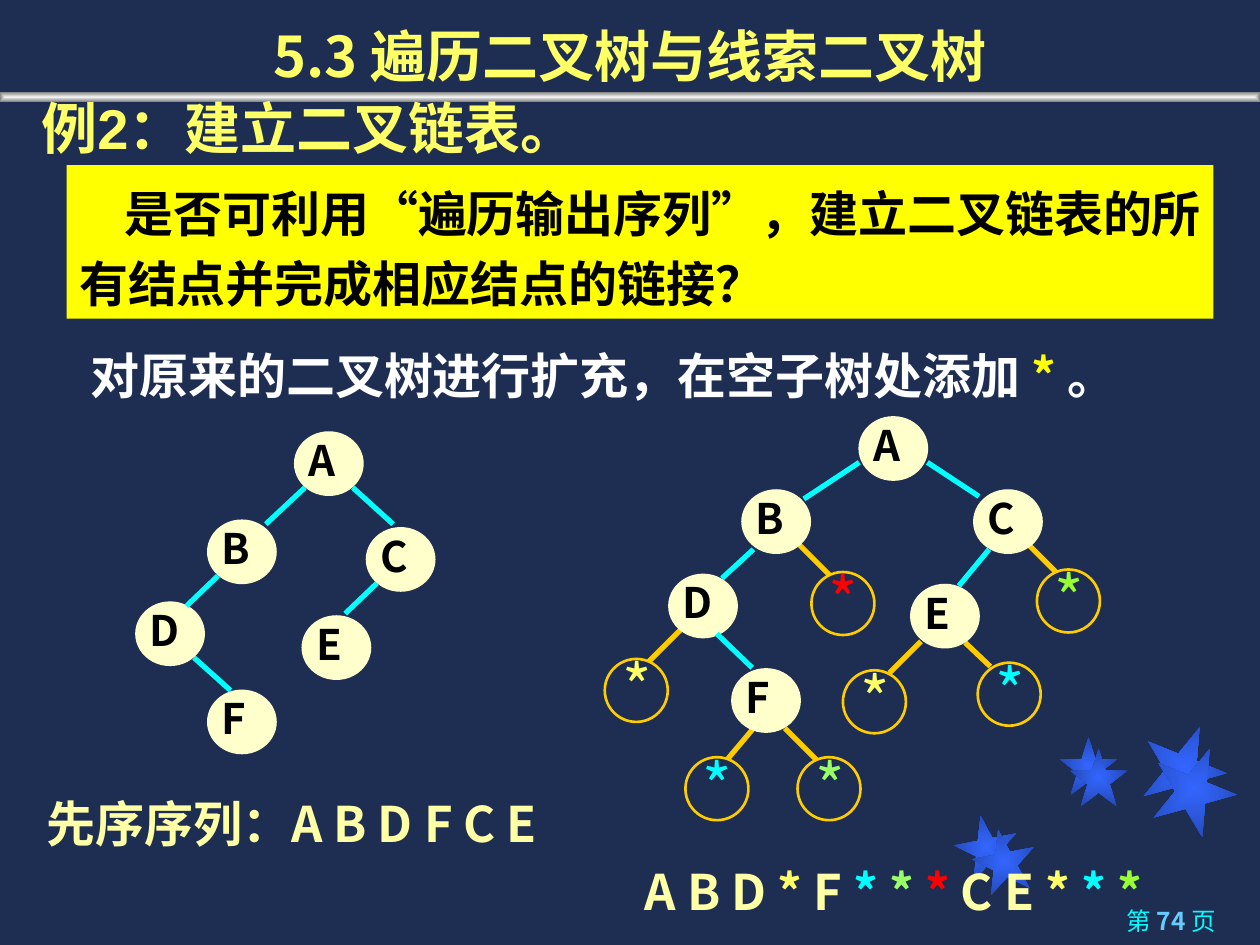
from lxml import etree
from pptx import Presentation
from pptx.dml.color import RGBColor
from pptx.enum.shapes import MSO_CONNECTOR, MSO_SHAPE
from pptx.enum.text import MSO_ANCHOR, MSO_AUTO_SIZE, PP_ALIGN
from pptx.oxml.ns import qn
from pptx.util import Inches, Pt

STRAIGHT = MSO_CONNECTOR.STRAIGHT
ELLIPSE = MSO_SHAPE.OVAL
RECTANGLE = MSO_SHAPE.RECTANGLE
STAR = MSO_SHAPE.STAR_5_POINT
TOP, BOTTOM = MSO_ANCHOR.TOP, MSO_ANCHOR.BOTTOM
FIXED, GROW = MSO_AUTO_SIZE.NONE, MSO_AUTO_SIZE.SHAPE_TO_FIT_TEXT
LEFT, CENTER, RIGHT = PP_ALIGN.LEFT, PP_ALIGN.CENTER, PP_ALIGN.RIGHT

NAVY = RGBColor(0x1E, 0x2E, 0x53)
BLACK = RGBColor(0x00, 0x00, 0x00)
WHITE = RGBColor(0xFF, 0xFF, 0xFF)
YELLOW = RGBColor(0xFF, 0xFF, 0x00)
LEMON = RGBColor(0xFF, 0xFF, 0x66)
PALE = RGBColor(0xFF, 0xFF, 0xA5)
CREAM = RGBColor(0xFF, 0xFF, 0xCC)
GOLD = RGBColor(0xFF, 0xCC, 0x00)
CYAN = RGBColor(0x00, 0xFF, 0xFF)
SKY = RGBColor(0x66, 0xCC, 0xFF)
GREEN = RGBColor(0x99, 0xFF, 0x66)
LIME = RGBColor(0x99, 0xFF, 0x33)
RED = RGBColor(0xFF, 0x00, 0x00)
BLUE = RGBColor(0x33, 0x66, 0xFF)
DEEP_BLUE = RGBColor(0x24, 0x49, 0xB6)
SILVER = RGBColor(0xF2, 0xF2, 0xF2)
GRAY = RGBColor(0x80, 0x80, 0x80)

CJK = "Noto Sans CJK SC"

STARS = [
    (7.58, 6.47, 0.5, 349), (8.41, 5.85, 0.46, 0), (9.06, 5.75, 0.67, 22),
    (7.72, 6.58, 0.5, 349), (8.49, 5.94, 0.46, 0), (9.14, 5.92, 0.67, 22),
]
PLAIN_NODES = {
    "A": (2.34, 3.43), "B": (1.65, 4.13), "C": (2.91, 4.19),
    "D": (1.08, 4.78), "E": (2.4, 4.89), "F": (1.65, 5.48),
}
PLAIN_EDGES = [
    (2.42, 3.87, 2.11, 4.16), (2.8, 3.87, 3.12, 4.16), (1.73, 4.57, 1.48, 4.81),
    (2.99, 4.63, 2.74, 4.87), (1.54, 5.22, 1.83, 5.48),
]
EXTENDED_NODES = {
    "A": (6.82, 3.31), "B": (5.89, 3.89), "C": (7.73, 3.89),
    "D": (5.31, 4.56), "E": (7.23, 4.64), "F": (5.81, 5.31),
}
EXTENDED_EDGES = [
    (6.82, 3.67, 6.38, 3.96), (7.36, 3.67, 7.77, 3.94), (5.98, 4.36, 5.73, 4.59),
    (7.85, 4.36, 7.61, 4.65), (5.69, 5.03, 5.97, 5.3),
]
EMPTY_SUBTREES = [
    (6.33, 6.01, GREEN, (6.23, 5.78, 6.48, 6.03)),
    (8.23, 4.52, LIME, (8.15, 4.31, 8.4, 4.56)),
    (6.44, 4.54, RED, (6.33, 4.31, 6.58, 4.56)),
    (7.76, 5.26, CYAN, (7.66, 5.1, 7.86, 5.29)),
    (4.8, 5.23, LEMON, (5.4, 5, 5.15, 5.25)),
    (5.44, 6.01, CYAN, (5.98, 5.78, 5.77, 6.03)),
    (6.69, 5.32, LEMON, (7.31, 5.09, 7.06, 5.34)),
]
EXTENDED_SEQUENCE = [
    ("A B D ", PALE), ("*", LEMON), (" F ", PALE), ("* ", CYAN), ("* ", GREEN),
    ("*", RED), (" C E ", PALE), ("* ", LEMON), ("* ", CYAN), ("*", LIME),
]


def assign(target, values):
    for name, value in values.items():
        setattr(target, name, value)


class SlideBuilder:
    def __init__(self, page, font):
        self.page = page
        self.font = font
        page.background.fill.solid()
        page.background.fill.fore_color.rgb = NAVY

    def fill_text(self, box, spans, size, bold=True, font=None, indent=0, **values):
        frame = box.text_frame
        frame_values = {"word_wrap": True, "auto_size": GROW, "vertical_anchor": TOP}
        para_values = {"alignment": LEFT, "line_spacing": 1.0}
        for name, value in values.items():
            group = para_values if name in para_values else frame_values
            group[name] = value
        assign(frame, frame_values)
        para = frame.paragraphs[0]
        assign(para, para_values)
        if indent:
            para._p.get_or_add_pPr().set("indent", str(Inches(indent)))
        for text, color in spans:
            span = para.add_run()
            span.text = text
            assign(span.font, {"name": font or self.font, "size": Pt(size), "bold": bold})
            span.font.color.rgb = color
            east_asian = etree.SubElement(span._r.get_or_add_rPr(), qn("a:ea"))
            east_asian.set("typeface", self.font)

    def text(self, left, top, width, height, spans, size, **values):
        box = self.page.shapes.add_textbox(*map(Inches, (left, top, width, height)))
        self.fill_text(box, spans, size, **values)

    def shape(self, kind, left, top, width, height, fill=None, line=None, weight=1):
        shape = self.page.shapes.add_shape(kind, *map(Inches, (left, top, width, height)))
        shape.shadow.inherit = False
        if fill is not None:
            shape.fill.solid()
            shape.fill.fore_color.rgb = fill
        if line is None:
            shape.line.fill.background()
        else:
            shape.line.color.rgb = line
            shape.line.width = Pt(weight)
        return shape

    def gradient(self, kind, left, top, width, height, colors, rotation=0):
        shape = self.shape(kind, left, top, width, height)
        shape.rotation = rotation
        shape.fill.gradient()
        for stop, color in zip(shape.fill.gradient_stops, colors):
            stop.color.rgb = color
        gradient = shape._element.spPr.find(qn("a:gradFill"))
        gradient.remove(gradient.find(qn("a:lin")))
        radial = etree.SubElement(gradient, qn("a:path"), {"path": "shape"})
        center = dict.fromkeys("ltrb", "50000")
        etree.SubElement(radial, qn("a:fillToRect"), center)

    def edge(self, points, color):
        edge = self.page.shapes.add_connector(STRAIGHT, *map(Inches, points))
        edge.line.color.rgb = color
        edge.line.width = Pt(3)
        etree.SubElement(edge._element.spPr, qn("a:effectLst"))

    def empty_subtree(self, left, top, color, points):
        self.edge(points, GOLD)
        self.shape(ELLIPSE, left, top, 0.5, 0.5, NAVY, GOLD, 1.5)
        self.text(left + 0.04, top - 0.13, 0.42, 0.7, [("*", color)], 36,
                  bold=False, alignment=CENTER)

    def tree(self, nodes, edges):
        for letter, (left, top) in nodes.items():
            self.shape(ELLIPSE, left, top, 0.54, 0.5, CREAM, CREAM)
            self.text(left - 0.04, top - 0.03, 0.76, 0.5, [(letter, BLACK)], 24,
                      margin_left=Inches(0.15))
        for points in edges:
            self.edge(points, CYAN)


def main():
    deck = Presentation()
    deck.slide_width, deck.slide_height = Inches(10), Inches(7.5)
    slide = SlideBuilder(deck.slides.add_slide(deck.slide_layouts[6]), CJK)

    for left, top, size, rotation in STARS:
        slide.gradient(STAR, left, top, size, size, (BLUE, DEEP_BLUE), rotation)
    slide.gradient(RECTANGLE, 0, 0.73, 10, 0.08, (SILVER, GRAY))
    slide.text(7.12, 7.14, 2.63, 0.36, [("第 ", CYAN), ("74 ", SKY), ("页", CYAN)], 14,
               bold=False, alignment=RIGHT, auto_size=FIXED)
    number = slide.page.shapes[-1].text_frame.paragraphs[0].runs[1]
    number.font.bold = True
    slide.text(0, 0, 10, 0.75, [("5.3 遍历二叉树与线索二叉树", LEMON)], 32,
               alignment=CENTER, auto_size=FIXED, vertical_anchor=BOTTOM)
    slide.text(0.23, 0.69, 9.26, 1.23, [("例2：建立二叉链表。", LEMON)], 32,
               font="Arial", auto_size=FIXED)

    for subtree in EMPTY_SUBTREES:
        slide.empty_subtree(*subtree)
    slide.tree(EXTENDED_NODES, EXTENDED_EDGES)
    slide.text(4.35, 6.79, 5.48, 0.57, EXTENDED_SEQUENCE, 28, alignment=CENTER)
    slide.tree(PLAIN_NODES, PLAIN_EDGES)
    slide.text(0.27, 6.25, 4.43, 0.57, [("先序序列：A B D F C E", PALE)], 28)

    slide.text(0.62, 2.6, 9.06, 0.66,
               [("对原来的二叉树进行扩充，在空子树处添加 ", WHITE), ("* ", YELLOW), ("。", WHITE)],
               28, line_spacing=1.2)
    question = slide.shape(RECTANGLE, 0.53, 1.31, 9.1, 1.22, YELLOW)
    slide.fill_text(question,
                    [("是否可利用“遍历输出序列”，建立二叉链表的所有结点并完成相应结点的链接？", BLACK)],
                    28, indent=0.36, line_spacing=1.2)
    deck.save("out.pptx")


if __name__ == "__main__":
    main()
